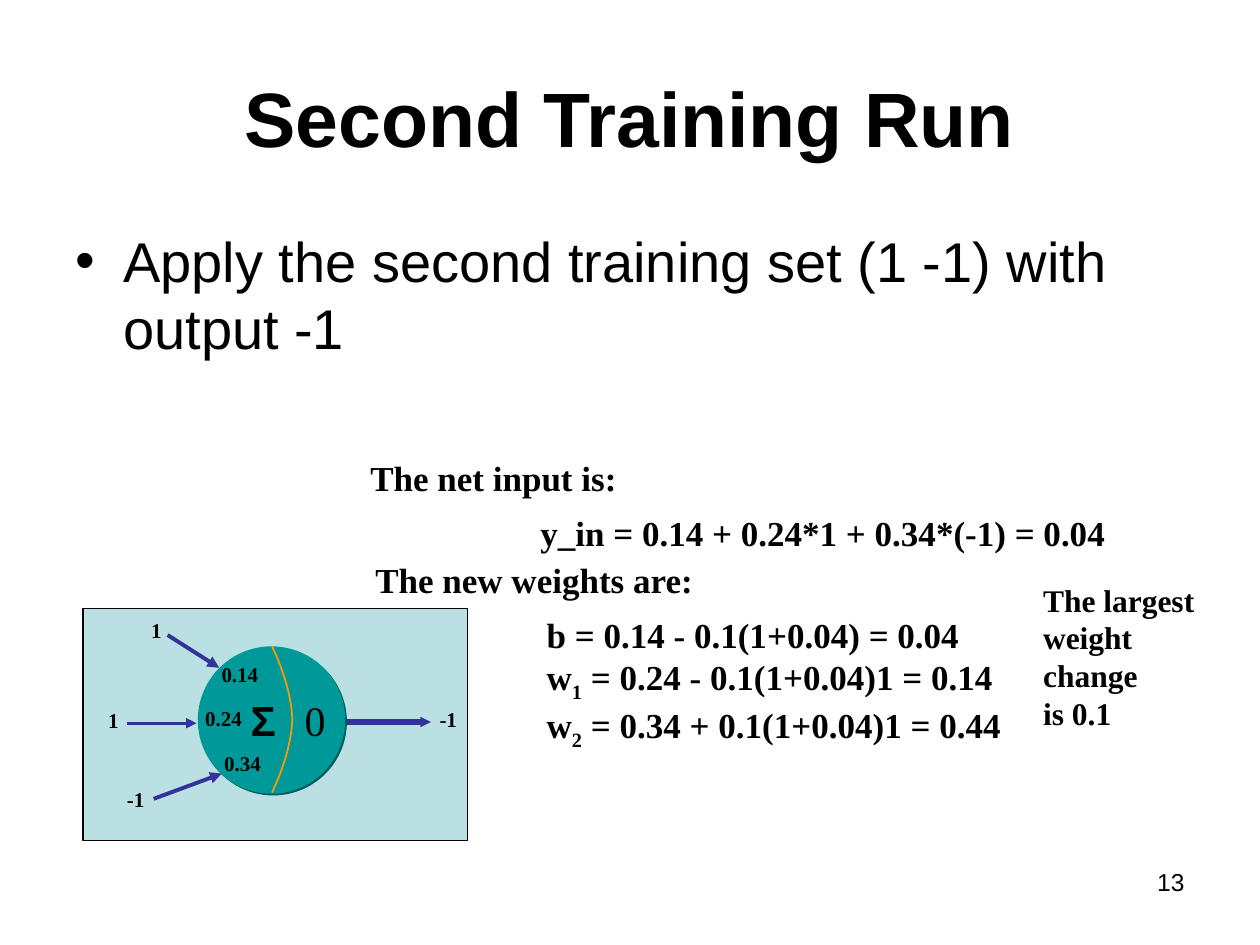
from dataclasses import dataclass

from lxml.etree import SubElement
from pptx import Presentation
from pptx.dml.color import RGBColor
from pptx.enum.shapes import MSO_CONNECTOR, MSO_SHAPE
from pptx.enum.text import MSO_ANCHOR, MSO_AUTO_SIZE, PP_ALIGN
from pptx.oxml.ns import qn
from pptx.util import Inches, Pt


@dataclass(frozen=True)
class Theme:
    """Colours, fonts and type sizes of the slide."""
    ink: str = "000000"
    panel: str = "BBE0E3"
    neuron: str = "009999"
    neuron_shadow: str = "005B5B"
    divider: str = "FF9900"
    arrow: str = "333399"
    sans: str = "Arial"
    serif: str = "Times New Roman"
    title: int = 44
    body: int = 32
    symbol: int = 24
    formula: int = 20
    remark: int = 18
    number: int = 14
    label: int = 12


class SlideBuilder:
    """Adds styled elements to the current slide."""

    def __init__(self, slide, theme):
        self.slide = slide
        self.theme = theme
        self.shapes = slide.shapes

    def set_font(self, paragraph, size, name, bold):
        """Format a whole paragraph."""
        paragraph.font.size = Pt(size)
        paragraph.font.name = name
        paragraph.font.bold = bold
        paragraph.font.color.rgb = RGBColor.from_string(self.theme.ink)

    def title(self, text, box):
        """Place and format the title placeholder."""
        shape = self.slide.shapes.title
        shape.left, shape.top, shape.width, shape.height = map(Inches, box)
        shape.text_frame.vertical_anchor = MSO_ANCHOR.MIDDLE
        shape.text_frame.text = text
        paragraph = shape.text_frame.paragraphs[0]
        paragraph.alignment = PP_ALIGN.CENTER
        self.set_font(paragraph, self.theme.title, self.theme.sans, True)

    def text(self, lines, box, size, name=None, bold=True, wrap=False,
             bullet=False, align=PP_ALIGN.LEFT):
        """Add a text box; each line is a string or (base, subscript, rest)."""
        shape = self.shapes.add_textbox(*map(Inches, box))
        frame = shape.text_frame
        frame.word_wrap = wrap
        frame.auto_size = MSO_AUTO_SIZE.NONE if wrap else MSO_AUTO_SIZE.SHAPE_TO_FIT_TEXT
        for index, line in enumerate(lines):
            paragraph = frame.add_paragraph() if index else frame.paragraphs[0]
            parts = (line,) if isinstance(line, str) else line
            for position, part in enumerate(parts):
                run = paragraph.add_run()
                run.text = part
                if position == 1:
                    run._r.get_or_add_rPr().set("baseline", "-25000")
            if bullet:
                self.bullet(paragraph)
            paragraph.alignment = align
            self.set_font(paragraph, size, name or self.theme.serif, bold)

    def bullet(self, paragraph):
        """Give a paragraph a hanging bullet."""
        properties = paragraph._p.get_or_add_pPr()
        properties.set("marL", str(Inches(0.38)))
        properties.set("indent", str(-Inches(0.38)))
        SubElement(properties, qn("a:buFont"), typeface=self.theme.sans)
        SubElement(properties, qn("a:buChar"), char="•")

    def shape(self, kind, box, fill, outline=None, shadow=None):
        """Add a filled preset shape with an optional outline and hard shadow."""
        shape = self.shapes.add_shape(kind, *map(Inches, box))
        shape.shadow.inherit = False
        shape.fill.solid()
        shape.fill.fore_color.rgb = RGBColor.from_string(fill)
        if outline:
            shape.line.color.rgb = RGBColor.from_string(outline)
            shape.line.width = Pt(0.75)
        else:
            shape.line.fill.background()
        if shadow:
            effects = shape._element.spPr.find(qn("a:effectLst"))
            outer = SubElement(effects, qn("a:outerShdw"), blurRad="0",
                               dist=str(Pt(1.4)), dir="2700000", algn="ctr", rotWithShape="0")
            SubElement(outer, qn("a:srgbClr"), val=shadow)

    def curve(self, left, top, bulge, height, color, steps=40):
        """Add an open arc that bulges to the right."""
        points = []
        for step in range(steps + 1):
            share = step / steps
            swing = 1 - abs(2 * share - 1) ** 1.7
            points.append((Inches(left + bulge * swing), Inches(top + height * share)))
        builder = self.shapes.build_freeform(*points[0])
        builder.add_line_segments(points[1:], close=False)
        shape = builder.convert_to_shape()
        shape.shadow.inherit = False
        shape.fill.background()
        shape.line.color.rgb = RGBColor.from_string(color)
        shape.line.width = Pt(1)

    def arrow(self, start, end, width, head="med"):
        """Add a straight arrow."""
        connector = self.shapes.add_connector(
            MSO_CONNECTOR.STRAIGHT, *map(Inches, start + end))
        connector.line.color.rgb = RGBColor.from_string(self.theme.arrow)
        connector.line.width = Pt(width)
        SubElement(connector.line._get_or_add_ln(), qn("a:tailEnd"),
                   type="triangle", w=head, len=head)
        SubElement(connector._element.spPr, qn("a:effectLst"))


def draw_neuron(builder):
    """Draw the neuron diagram as one group."""
    theme = builder.theme
    builder.shapes = builder.slide.shapes.add_group_shape().shapes
    builder.shape(MSO_SHAPE.RECTANGLE, (0.66, 4.83, 3.05, 1.84), theme.panel, theme.ink)
    builder.shape(MSO_SHAPE.OVAL, (1.57, 5.13, 1.17, 1.17), theme.neuron,
                  shadow=theme.neuron_shadow)
    builder.curve(2.16, 5.13, 0.16, 1.16, theme.divider)
    builder.text(["0"], (2.32, 5.46, 0.36, 0.5), theme.symbol, bold=False)
    builder.text(["Σ"], (1.89, 5.46, 0.39, 0.5), theme.symbol, theme.sans)
    builder.arrow((2.75, 5.73), (3.42, 5.73), 3, "sm")
    for start, end, width in (
        ((1.33, 5.04), (1.74, 5.3), 2.25),
        ((1.22, 6.34), (1.76, 6.14), 2.25),
        ((1.01, 5.74), (1.56, 5.74), 1.5),
    ):
        builder.arrow(start, end, width)
    label_widths = {"1": 0.28, "-1": 0.34}
    for label, left, top in (
        ("0.14", 1.66, 5.2), ("0.24", 1.53, 5.55), ("0.34", 1.68, 5.91),
        ("1", 1.1, 4.85), ("1", 0.76, 5.57), ("-1", 0.91, 6.19), ("-1", 3.39, 5.56),
    ):
        builder.text([label], (left, top, label_widths.get(label, 0.49), 0.3), theme.label)
    builder.shapes = builder.slide.shapes


def main():
    """Build and save the slide."""
    presentation = Presentation()
    presentation.slide_width, presentation.slide_height = Inches(10), Inches(7.5)
    theme = Theme()
    builder = SlideBuilder(presentation.slides.add_slide(presentation.slide_layouts[5]), theme)
    builder.title("Second Training Run", (0.5, 0.3, 9, 1.25))
    builder.text(["Apply the second training set (1 -1) with output -1"],
                 (0.5, 1.75, 9, 1.34), theme.body, theme.sans, False, True, bullet=True)
    draw_neuron(builder)
    for lines, box in (
        (["The net input is:"], (2.84, 3.57, 2.25, 0.44)),
        (["y_in = 0.14 + 0.24*1 + 0.34*(-1) = 0.04"], (4.19, 4.01, 4.78, 0.44)),
        (["The new weights are:"], (2.88, 4.38, 2.89, 0.44)),
        (["b = 0.14 - 0.1(1+0.04) = 0.04",
          ("w", "1", " = 0.24 - 0.1(1+0.04)1 = 0.14"),
          ("w", "2", " = 0.34 + 0.1(1+0.04)1 = 0.44")], (4.24, 4.82, 3.9, 1.19)),
    ):
        builder.text(lines, box, theme.formula)
    builder.text(["The largest weight change", "is 0.1"], (8.18, 4.56, 1.59, 1.3),
                 theme.remark, wrap=True)
    builder.text(["13"], (7.17, 6.83, 2.33, 0.52), theme.number, theme.sans, False, True,
                 align=PP_ALIGN.RIGHT)
    presentation.save("out.pptx")


if __name__ == "__main__":
    main()
